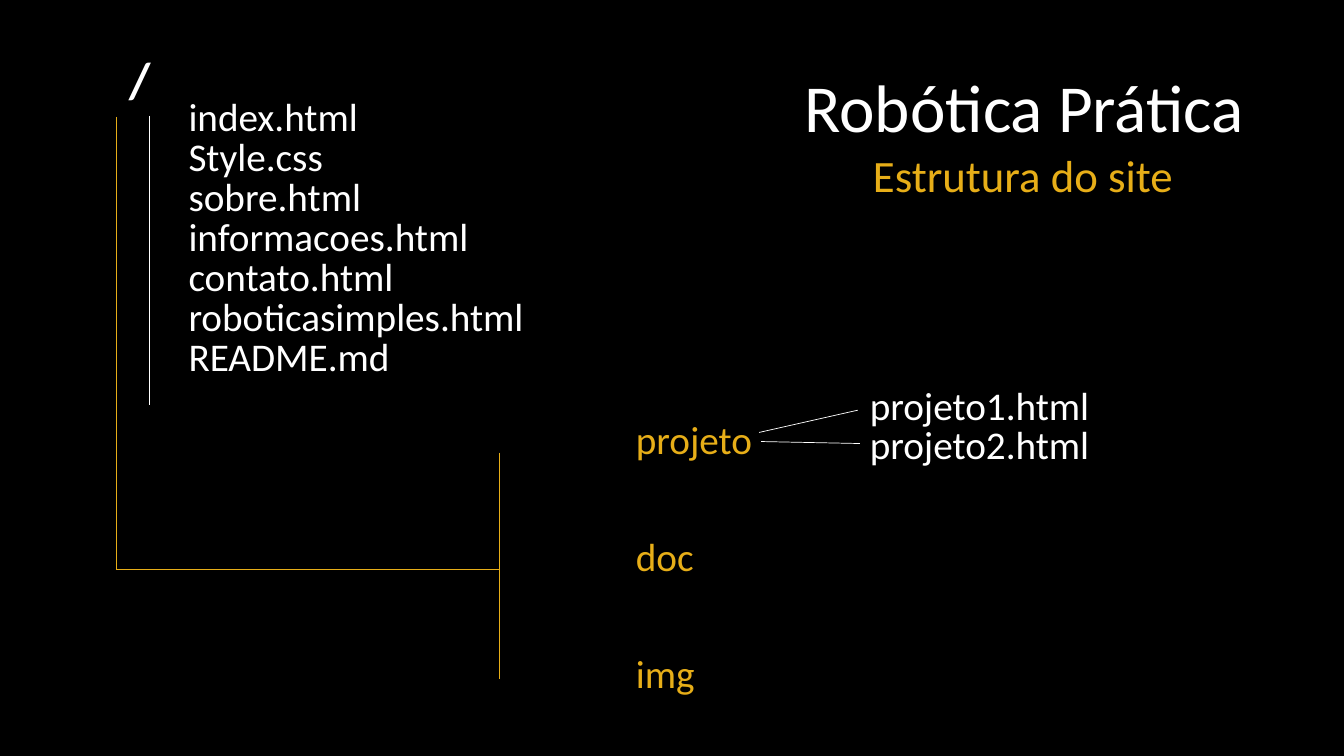
from lxml.etree import SubElement
from pptx import Presentation
from pptx.dml.color import RGBColor
from pptx.enum.shapes import MSO_CONNECTOR
from pptx.enum.text import MSO_ANCHOR, MSO_AUTO_SIZE, PP_ALIGN
from pptx.oxml.ns import qn
from pptx.util import Pt

BLACK = RGBColor(0x00, 0x00, 0x00)
WHITE = RGBColor(0xFF, 0xFF, 0xFF)
GOLD = RGBColor(0xE7, 0xAE, 0x18)

TITLE = "Robótica Prática"
SUBTITLE = "Estrutura do site"
ROOT = "/"
ROOT_FILES = ["index.html", "Style.css", "sobre.html", "informacoes.html",
              "contato.html", "roboticasimples.html", "README.md"]
FOLDERS = ["projeto", "doc", "img"]
PROJECT_FILES = ["projeto1.html", "projeto2.html"]

# Lists: texts, left, top, width, row pitch, colour
LISTS = [
    (ROOT_FILES, 127.6, 62.6, 344, 28.56, WHITE),
    (FOLDERS, 447.1, 293, 101.5, 83.5, GOLD),
    (PROJECT_FILES, 614.2, 268.6, 344, 28.1, WHITE),
]
ROW_HEIGHT = 41

# Tree lines: start x, start y, end x, end y, colour
TRUNK_X, BRANCH_X, BRANCH_Y = 82.8, 356.4, 406.8
LINES = [
    (106.6, 82.8, 106.6, 289.4, WHITE),
    (TRUNK_X, 83.5, TRUNK_X, BRANCH_Y, GOLD),
    (BRANCH_X, 323.3, BRANCH_X, 485.3, GOLD),
    (TRUNK_X, BRANCH_Y, BRANCH_X, BRANCH_Y, GOLD),
    (612.7, 293, 542.2, 308.9, WHITE),
    (614.2, 316.8, 543.6, 315.4, WHITE),
]


def write_text(shape, text, left, top, width, height, size=28, color=WHITE, bold=False):
    """Place a text shape and fill it with one formatted line."""
    shape.left, shape.top, shape.width, shape.height = map(Pt, (left, top, width, height))
    frame = shape.text_frame
    frame.word_wrap = True
    frame.auto_size = MSO_AUTO_SIZE.SHAPE_TO_FIT_TEXT
    frame.vertical_anchor = MSO_ANCHOR.TOP
    frame.text = text
    paragraph = frame.paragraphs[0]
    paragraph.alignment = PP_ALIGN.LEFT
    paragraph.space_before = Pt(0)
    font = paragraph.runs[0].font
    font.name, font.size, font.bold = "Calibri", Pt(size), bold
    font.color.rgb = color


def add_text(slide, text, left, top, width, height, **text_format):
    box = slide.shapes.add_textbox(Pt(left), Pt(top), Pt(width), Pt(height))
    write_text(box, text, left, top, width, height, **text_format)


def add_line(slide, start_x, start_y, end_x, end_y, color):
    line = slide.shapes.add_connector(
        MSO_CONNECTOR.STRAIGHT, Pt(start_x), Pt(start_y), Pt(end_x), Pt(end_y))
    line.line.color.rgb = color
    line.line.width = Pt(0.5)
    SubElement(line._element.spPr, qn("a:effectLst"))


def main():
    presentation = Presentation()
    presentation.slide_width, presentation.slide_height = Pt(960), Pt(540)
    slide = presentation.slides.add_slide(presentation.slide_layouts[0])
    slide.background.fill.solid()
    slide.background.fill.fore_color.rgb = BLACK

    write_text(slide.shapes.title, TITLE, 567.4, 43.2, 344, 65.5, size=48)
    write_text(slide.placeholders[1], SUBTITLE, 616.3, 102.2, 280, 46, size=32, color=GOLD)
    add_text(slide, ROOT, 85, 31, 57, 51, size=36, bold=True)
    for texts, left, top, width, pitch, color in LISTS:
        for row, text in enumerate(texts):
            add_text(slide, text, left, top + row * pitch, width, ROW_HEIGHT, color=color)
    for line in LINES:
        add_line(slide, *line)

    presentation.save("out.pptx")


if __name__ == "__main__":
    main()
